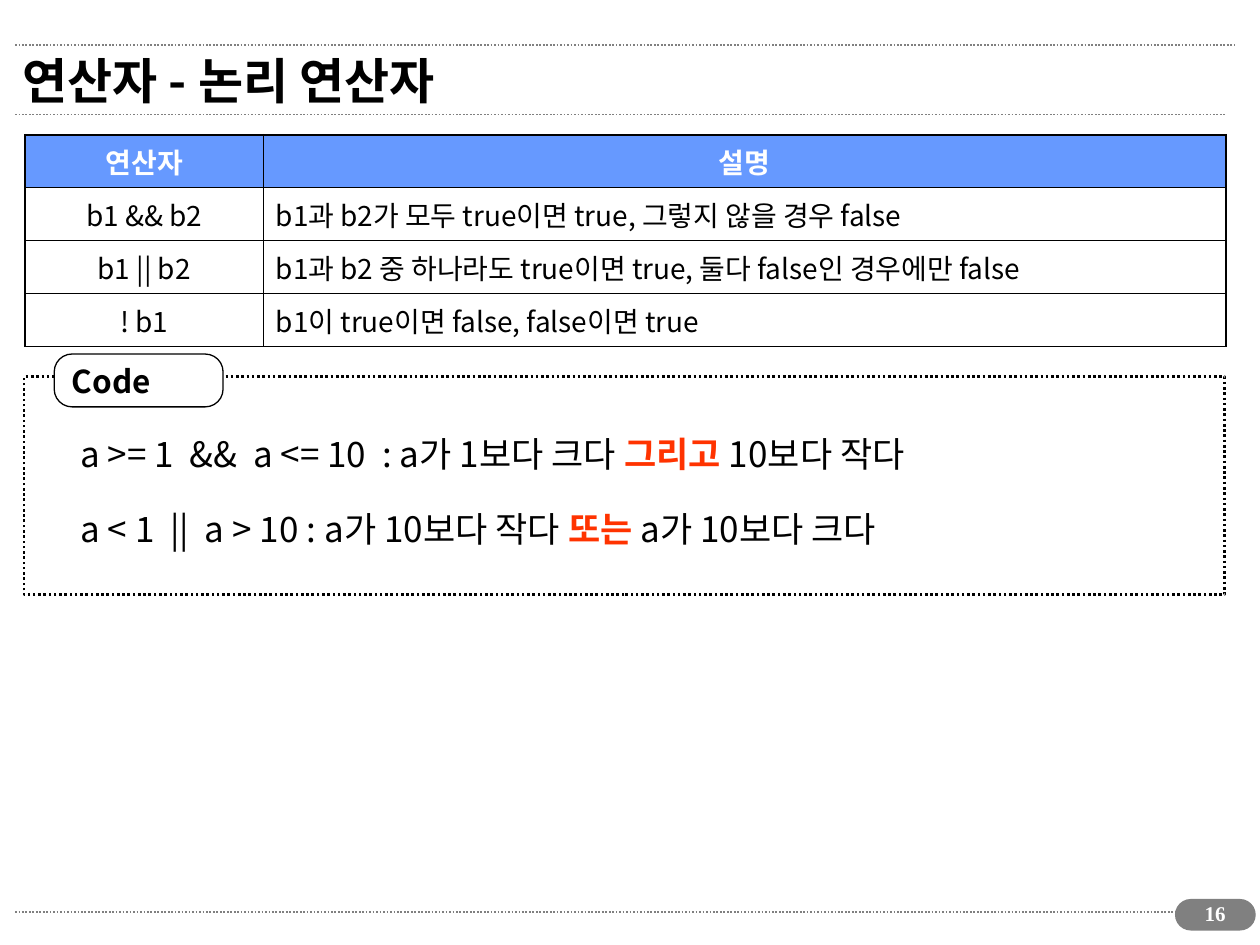
"""Build a slide on logical operators with a table and a framed code example."""
from pptx import Presentation
from pptx import util as u
from pptx.dml import color
from pptx.enum import dml, shapes, text
from pptx.oxml import ns, xmlchemy
from lxml import etree

Pt, RGB = u.Pt, color.RGBColor
BLACK, WHITE, GRAY = RGB(0, 0, 0), RGB(255, 255, 255), RGB(128, 128, 128)
BLUE, RED = RGB(0x66, 0x99, 0xFF), RGB(0xFF, 0x33, 0x00)
FONT, NUMBER_FONT = "Noto Sans CJK KR", "Times New Roman"
LEFT, CENTER = text.PP_ALIGN.LEFT, text.PP_ALIGN.CENTER
THICK, THIN = 1.08, 0.45

TITLE = "연산자 - 논리 연산자"
ROWS = [
    ("연산자", "설명"),
    ("b1 && b2", "b1과 b2가 모두 true이면 true, 그렇지 않을 경우 false"),
    ("b1 || b2", "b1과 b2 중 하나라도 true이면 true, 둘다 false인 경우에만 false"),
    ("! b1", "b1이 true이면 false, false이면 true"),
]
COLUMNS = (136.1, 550.1)
ROW_HEIGHT = 26.5
EXAMPLES = [
    ("a >= 1  &&  a <= 10  : a가 1보다 크다 ", "그리고 ", "10보다 작다"),
    ("a < 1  ||  a > 10 : a가 10보다 작다 ", "또는 ", "a가 10보다 크다"),
]
RULES = [(521.3, 700.6), (65.5, 699.8), (25.9, 705.6)]


def add_run(p, words, size, ink=BLACK, bold=False, font=FONT):
    r = p.add_run()
    r.text = words
    r.font.size, r.font.bold, r.font.name = Pt(size), bold, font
    r.font.color.rgb = ink
    ea = etree.SubElement(r.font._element, ns.qn("a:ea"))
    ea.set("typeface", font)


def add_box(s, kind, box, fill, ink, width, radius=None):
    sp = s.shapes.add_shape(kind, *map(Pt, box))
    sp.shadow.inherit = False
    if fill is None:
        sp.fill.background()
    else:
        sp.fill.solid()
        sp.fill.fore_color.rgb = fill
    sp.line.color.rgb, sp.line.width = ink, Pt(width)
    if radius is not None:
        sp.adjustments[0] = radius
    return sp


def add_rule(s, y, right):
    line = s.shapes.add_connector(shapes.MSO_CONNECTOR.STRAIGHT, Pt(8.6), Pt(y), Pt(right), Pt(y))
    line.line.color.rgb, line.line.width = GRAY, Pt(1)
    line.line.dash_style = dml.MSO_LINE.ROUND_DOT
    etree.SubElement(line._element.spPr, ns.qn("a:effectLst"))


def set_borders(cell, widths):
    tcPr = cell._tc.get_or_add_tcPr()
    for i, (side, width) in enumerate(widths):
        ln = etree.Element(ns.qn(f"a:ln{side}"), w=str(int(Pt(width))))
        fill = etree.SubElement(ln, ns.qn("a:solidFill"))
        etree.SubElement(fill, ns.qn("a:srgbClr"), val=str(BLACK))
        tcPr.insert(i, ln)


def add_operator_table(s):
    height = ROW_HEIGHT * len(ROWS)
    table = s.shapes.add_table(len(ROWS), len(COLUMNS), Pt(14.4), Pt(77),
                               Pt(sum(COLUMNS)), Pt(height)).table
    table.horz_banding = table.first_row = False
    for column, width in zip(table.columns, COLUMNS):
        column.width = Pt(width)
    last_row, last_col = len(ROWS) - 1, len(COLUMNS) - 1
    for i, row in enumerate(ROWS):
        for j, words in enumerate(row):
            cell = table.cell(i, j)
            header = i == 0
            if header:
                cell.fill.solid()
                cell.fill.fore_color.rgb = BLUE
            else:
                cell.fill.background()
            outer = (("L", j == 0), ("R", j == last_col), ("T", header), ("B", i == last_row))
            set_borders(cell, [(side, THICK if edge else THIN) for side, edge in outer])
            p = cell.text_frame.paragraphs[0]
            p.alignment = CENTER if header or j == 0 else LEFT
            add_run(p, words, 16, WHITE if header else BLACK, header)


def add_code_panel(s):
    frame = add_box(s, shapes.MSO_SHAPE.RECTANGLE, (13.7, 215.3, 686.2, 124.6), None, BLACK, 1.5)
    frame.line.dash_style = dml.MSO_LINE.ROUND_DOT
    label = add_box(s, shapes.MSO_SHAPE.ROUNDED_RECTANGLE, (31, 202.3, 96.5, 30.2),
                    WHITE, BLACK, 0.75, 0.338)
    p = label.text_frame.paragraphs[0]
    p.alignment = LEFT
    add_run(p, "Code", 18, bold=True)
    tf = s.shapes.add_textbox(Pt(38.9), Pt(243.4), Pt(530.6), Pt(79.2)).text_frame
    tf.word_wrap = True
    for i, (before, key, after) in enumerate(EXAMPLES):
        p = tf.paragraphs[0] if i == 0 else tf.add_paragraph()
        if i:
            p.space_before = Pt(19)
        add_run(p, before, 20)
        add_run(p, key, 20, RED, True)
        add_run(p, after, 20)


def main():
    prs = Presentation()
    prs.slide_width, prs.slide_height = Pt(720), Pt(540)
    s = prs.slides.add_slide(prs.slide_layouts[5])
    for y, right in RULES:
        add_rule(s, y, right)
    add_box(s, shapes.MSO_SHAPE.ROUNDED_RECTANGLE, (671.8, 514.1, 45.4, 17.3),
            GRAY, GRAY, 0.75, 0.5)
    title = s.shapes.title
    title.left, title.top, title.width, title.height = map(Pt, (5.8, 20.2, 655.2, 51.1))
    tf = title.text_frame
    tf.auto_size = text.MSO_AUTO_SIZE.NONE
    tf.vertical_anchor = text.MSO_ANCHOR.MIDDLE
    tf.paragraphs[0].alignment = LEFT
    add_run(tf.paragraphs[0], TITLE, 28, bold=True)
    add_operator_table(s)
    add_code_panel(s)
    tf = s.shapes.add_textbox(Pt(674.6), Pt(511.2), Pt(39.6), Pt(24.5)).text_frame
    tf.word_wrap = True
    tf.paragraphs[0].alignment = CENTER
    add_run(tf.paragraphs[0], "16", 12, WHITE, True, NUMBER_FONT)
    prs.save("out.pptx")


if __name__ == "__main__":
    main()
